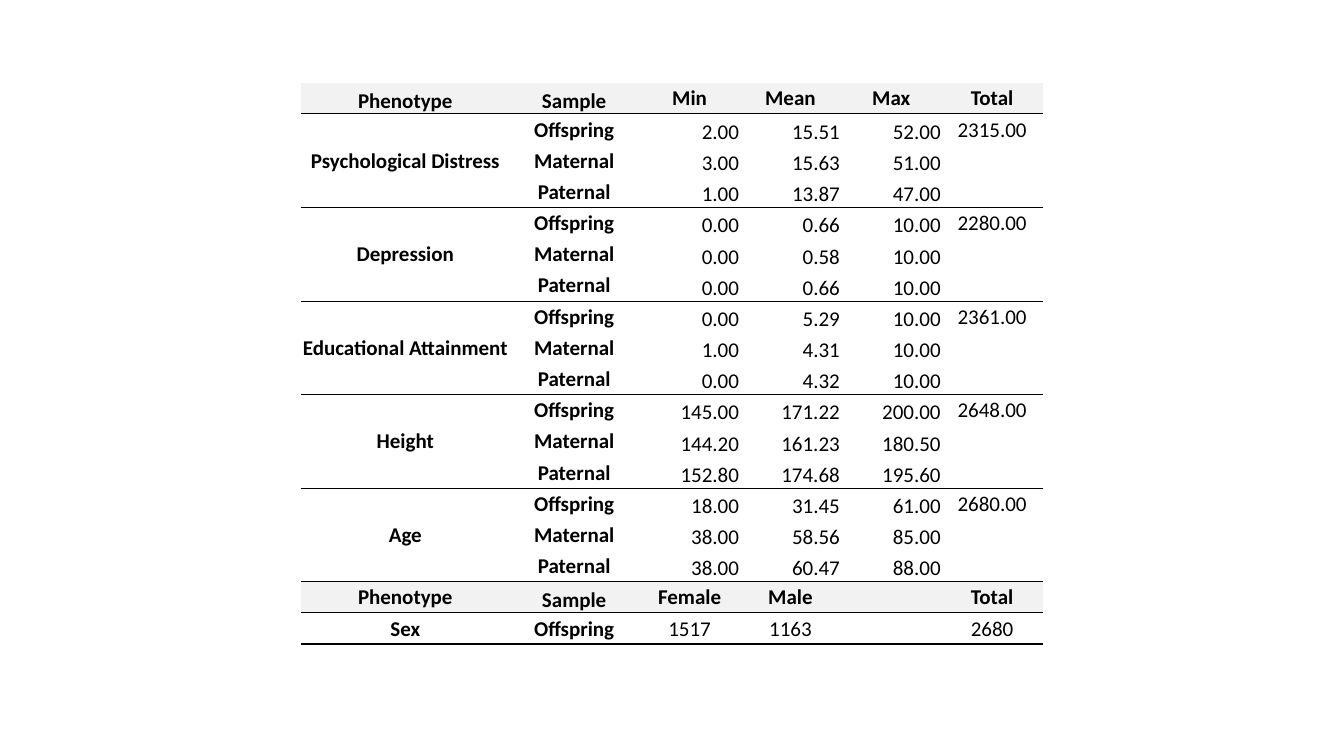
from dataclasses import dataclass

from lxml import etree
from pptx import Presentation
from pptx.dml.color import RGBColor
from pptx.enum.text import MSO_ANCHOR, PP_ALIGN
from pptx.oxml.ns import qn
from pptx.table import Table, _Cell
from pptx.util import Inches, Pt

CENTER, RIGHT = PP_ALIGN.CENTER, PP_ALIGN.RIGHT
MIDDLE, BOTTOM = MSO_ANCHOR.MIDDLE, MSO_ANCHOR.BOTTOM


@dataclass(frozen=True)
class Theme:
    """Colours, font and line widths of the slide."""
    font: str = "Calibri"
    size: Pt = Pt(15)
    ink: str = "000000"
    header: str = "F2F2F2"
    thin: Pt = Pt(0.5)
    thick: Pt = Pt(1)


@dataclass(frozen=True)
class Phenotype:
    """A measured trait: min, mean and max per sample, and the total count."""
    name: str
    offspring: tuple[str, str, str]
    maternal: tuple[str, str, str]
    paternal: tuple[str, str, str]
    total: str


@dataclass(frozen=True)
class Style:
    """How the text of a cell is set."""
    bold: bool = False
    align: PP_ALIGN = CENTER
    anchor: MSO_ANCHOR = MIDDLE
    shaded: bool = False


THEME = Theme()
LABEL = Style(bold=True)
HEADER = Style(bold=True, shaded=True)
LOW_HEADER = Style(bold=True, anchor=BOTTOM, shaded=True)
NUMBER = Style(align=RIGHT, anchor=BOTTOM)
COUNT = Style()

PHENOTYPES = [
    Phenotype("Psychological Distress", ("2.00", "15.51", "52.00"),
              ("3.00", "15.63", "51.00"), ("1.00", "13.87", "47.00"), "2315.00"),
    Phenotype("Depression", ("0.00", "0.66", "10.00"),
              ("0.00", "0.58", "10.00"), ("0.00", "0.66", "10.00"), "2280.00"),
    Phenotype("Educational Attainment", ("0.00", "5.29", "10.00"),
              ("1.00", "4.31", "10.00"), ("0.00", "4.32", "10.00"), "2361.00"),
    Phenotype("Height", ("145.00", "171.22", "200.00"),
              ("144.20", "161.23", "180.50"), ("152.80", "174.68", "195.60"), "2648.00"),
    Phenotype("Age", ("18.00", "31.45", "61.00"),
              ("38.00", "58.56", "85.00"), ("38.00", "60.47", "88.00"), "2680.00"),
]
SAMPLES = ("Offspring", "Maternal", "Paternal")
COLUMN_WIDTHS = [Inches(2.06), Inches(1.29)] + [Inches(1)] * 4
HEADER_ROW = 1
FIRST_GROUP = HEADER_ROW + 1
SEX_HEADER = FIRST_GROUP + len(PHENOTYPES) * len(SAMPLES)
SEX_ROW = SEX_HEADER + 1
ROW_COUNT = SEX_ROW + 1
RULES = {row: THEME.thin for row in range(HEADER_ROW, SEX_HEADER, len(SAMPLES))}
RULES |= {SEX_HEADER: THEME.thick, SEX_ROW: THEME.thick}


def write_cell(cell: _Cell, text: str, style: Style) -> None:
    """Set the text, margins and fill of a cell."""
    cell.margin_left = cell.margin_right = cell.margin_top = Inches(0.01)
    cell.margin_bottom = 0
    cell.vertical_anchor = style.anchor
    if style.shaded:
        cell.fill.solid()
        cell.fill.fore_color.rgb = RGBColor.from_string(THEME.header)
    else:
        cell.fill.background()
    para = cell.text_frame.paragraphs[0]
    para.alignment = style.align
    span = para.add_run()
    span.text = text
    span.font.name = THEME.font
    span.font.size = THEME.size
    span.font.bold = style.bold
    span.font.color.rgb = RGBColor.from_string(THEME.ink)


def write_row(table: Table, row: int, texts: list[str], styles: list[Style]) -> None:
    """Fill one row from left to right."""
    for column, (text, style) in enumerate(zip(texts, styles)):
        write_cell(table.cell(row, column), text, style)


def rule_cell(cell: _Cell, row: int) -> None:
    """Draw the rules above and below a cell and clear its sides."""
    last_row = row + (cell.span_height if cell.is_merge_origin else 1) - 1
    widths = {"a:lnL": None, "a:lnR": None,
              "a:lnT": RULES.get(row - 1), "a:lnB": RULES.get(last_row)}
    properties = cell._tc.get_or_add_tcPr()
    for place, (tag, width) in enumerate(widths.items()):
        line = etree.Element(qn(tag))
        properties.insert(place, line)
        if width is None:
            etree.SubElement(line, qn("a:noFill"))
        else:
            line.set("w", str(int(width)))
            fill = etree.SubElement(line, qn("a:solidFill"))
            etree.SubElement(fill, qn("a:srgbClr"), val=THEME.ink)


def write_phenotype(table: Table, top: int, phenotype: Phenotype) -> None:
    """Fill the three sample rows of a phenotype."""
    values = (phenotype.offspring, phenotype.maternal, phenotype.paternal)
    for offset, (sample, numbers) in enumerate(zip(SAMPLES, values)):
        first = offset == 0
        texts = [phenotype.name if first else "", sample, *numbers,
                 phenotype.total if first else ""]
        write_row(table, top + offset, texts, [LABEL, LABEL] + [NUMBER] * 3 + [COUNT])
    table.cell(top, 0).merge(table.cell(top + len(SAMPLES) - 1, 0))


def build_table(table: Table) -> None:
    """Size, fill and rule the whole table."""
    table.first_row = table.horz_banding = False
    for column, width in zip(table.columns, COLUMN_WIDTHS):
        column.width = width
    write_row(table, 0, [""] * 6, [COUNT] * 6)
    table.cell(0, 1).merge(table.cell(0, 5))
    write_row(table, HEADER_ROW, ["Phenotype", "Sample", "Min", "Mean", "Max", "Total"],
              [LOW_HEADER] * 2 + [HEADER] * 4)
    for index, phenotype in enumerate(PHENOTYPES):
        write_phenotype(table, FIRST_GROUP + index * len(SAMPLES), phenotype)
    write_row(table, SEX_HEADER, ["Phenotype", "Sample", "Female", "Male", "", "Total"],
              [HEADER, LOW_HEADER] + [HEADER] * 4)
    write_row(table, SEX_ROW, ["Sex", "Offspring", "1517", "1163", "", "2680"],
              [LABEL] * 2 + [COUNT] * 4)
    for row in range(ROW_COUNT):
        for column in range(len(COLUMN_WIDTHS)):
            rule_cell(table.cell(row, column), row)


deck = Presentation()
deck.slide_width, deck.slide_height = Inches(13.33), Inches(7.5)
page = deck.slides.add_slide(deck.slide_layouts[6])
frame = page.shapes.add_table(ROW_COUNT, len(COLUMN_WIDTHS), Inches(2.99), Inches(0.51),
                              sum(COLUMN_WIDTHS), Inches(5.88))
build_table(frame.table)
deck.save("out.pptx")
